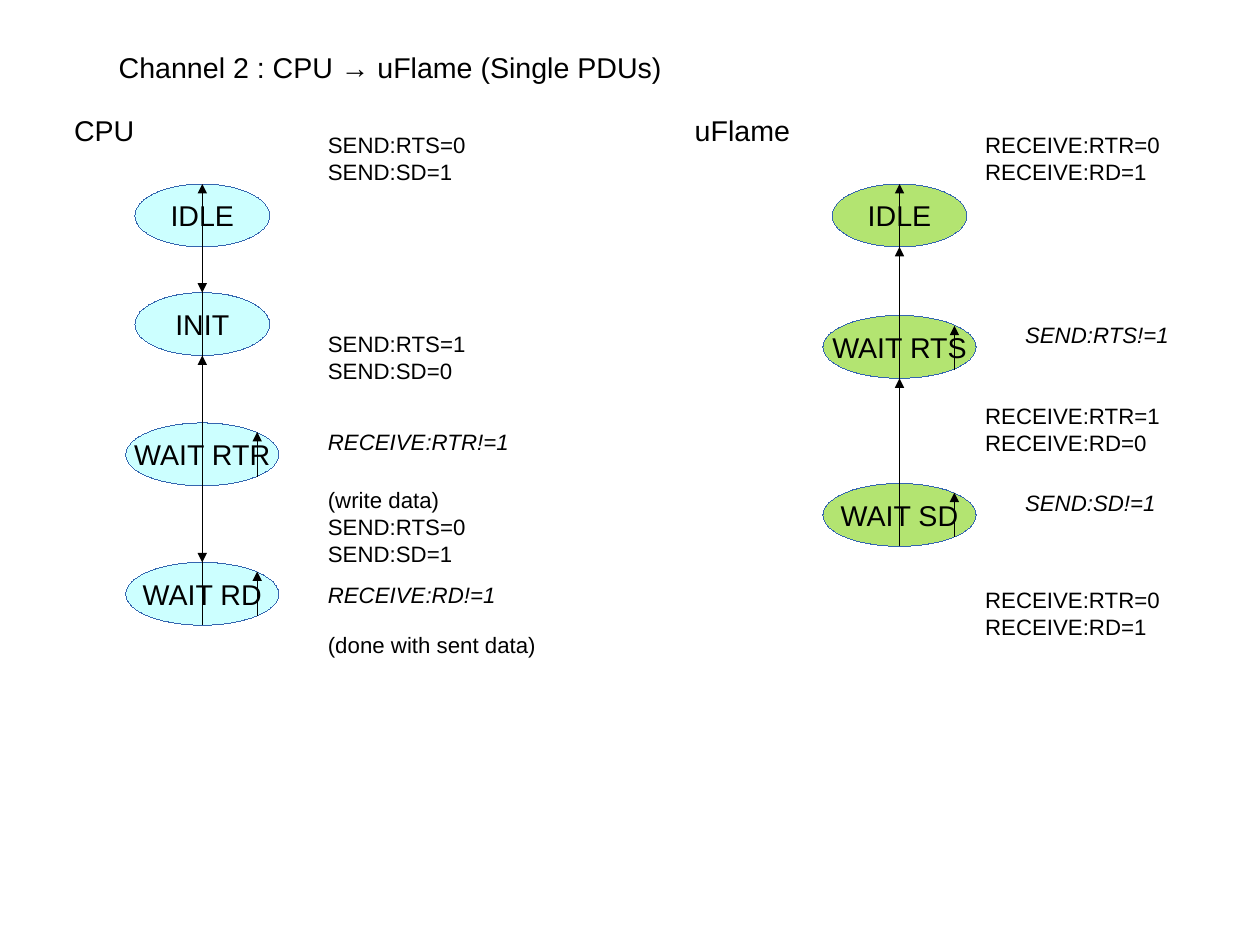
"""Build the slide with the two handshake state machines of channel 2."""
from lxml import etree
from pptx import Presentation
from pptx.dml.color import RGBColor
from pptx.enum.shapes import MSO_CONNECTOR, MSO_SHAPE
from pptx.enum.text import MSO_ANCHOR, MSO_AUTO_SIZE, PP_ALIGN
from pptx.oxml.ns import qn
from pptx.util import Inches, Pt

STRAIGHT = MSO_CONNECTOR.STRAIGHT
OVAL = MSO_SHAPE.OVAL
MIDDLE = MSO_ANCHOR.MIDDLE
CENTER = PP_ALIGN.CENTER
GROW = MSO_AUTO_SIZE.SHAPE_TO_FIT_TEXT
STATE_HEIGHT = 0.55


def rgb(color):
    return RGBColor.from_string(color)


def write(shape, text, size, italic=False, align=None):
    tf = shape.text_frame
    tf.text = text
    tf.word_wrap = False
    for p in tf.paragraphs:
        p.alignment = align
        for r in p.runs:
            r.font.name = "Arial"
            r.font.size = Pt(size)
            r.font.italic = italic
            r.font.color.rgb = rgb("000000")


prs = Presentation()
prs.slide_width = Inches(28 / 2.54)
prs.slide_height = Inches(21 / 2.54)
s = prs.slides.add_slide(prs.slide_layouts[6])

states = [
    ("IDLE", 1.77, 1.61, 1.18, "CCFFFF"),
    ("INIT", 1.77, 2.56, 1.18, "CCFFFF"),
    ("WAIT RTR", 1.77, 3.7, 1.34, "CCFFFF"),
    ("WAIT RD", 1.77, 4.92, 1.34, "CCFFFF"),
    ("IDLE", 7.87, 1.61, 1.18, "B3E471"),
    ("WAIT RTS", 7.87, 2.76, 1.34, "B3E471"),
    ("WAIT SD", 7.87, 4.23, 1.34, "B3E471"),
]
for name, center, top, width, color in states:
    sp = s.shapes.add_shape(OVAL, Inches(center - width / 2), Inches(top),
                            Inches(width), Inches(STATE_HEIGHT))
    sp.shadow.inherit = False
    sp.fill.solid()
    sp.fill.fore_color.rgb = rgb(color)
    sp.line.color.rgb = rgb("3465AF")
    sp.line.width = Pt(0)
    sp._element.remove(sp._element.find(qn("p:style")))
    sp.text_frame.vertical_anchor = MIDDLE
    write(sp, name, 18, align=CENTER)

transitions = [
    (1.77, 2.16, 2.56),
    (1.77, 3.7, 3.11),
    (1.77, 4.25, 4.92),
    (1.77, 5.47, 1.61),
    (2.25, 4.17, 3.78),
    (2.25, 5.39, 5.0),
    (7.87, 2.76, 2.16),
    (7.87, 4.23, 3.31),
    (7.87, 4.78, 1.61),
    (8.35, 3.24, 2.85),
    (8.35, 4.7, 4.31),
]
for x, start, end in transitions:
    arrow = s.shapes.add_connector(STRAIGHT, Inches(x), Inches(start),
                                   Inches(x), Inches(end))
    arrow.line.color.rgb = rgb("000000")
    arrow.line.width = Pt(0)
    arrow._element.remove(arrow._element.find(qn("p:style")))
    etree.SubElement(arrow.line._get_or_add_ln(), qn("a:tailEnd"), type="triangle")
    etree.SubElement(arrow._element.spPr, qn("a:effectLst"))

labels = [
    ("Channel 2 : CPU → uFlame (Single PDUs)", 0.94, 0.39, 8.11, 18, False),
    ("CPU", 0.55, 0.94, 0.8, 18, False),
    ("uFlame", 5.98, 0.94, 1.1, 18, False),
    ("SEND:RTS=0\nSEND:SD=1", 2.77, 1.1, 1.45, 14, False),
    ("SEND:RTS=1\nSEND:SD=0", 2.77, 2.84, 1.45, 14, False),
    ("RECEIVE:RTR!=1", 2.77, 3.7, 1.85, 14, True),
    ("(write data)\nSEND:RTS=0\nSEND:SD=1", 2.77, 4.21, 1.45, 14, False),
    ("RECEIVE:RD!=1", 2.77, 5.04, 1.7, 14, True),
    ("(done with sent data)", 2.77, 5.47, 2.05, 14, False),
    ("RECEIVE:RTR=0\nRECEIVE:RD=1", 8.52, 1.1, 1.75, 14, False),
    ("SEND:RTS!=1", 8.87, 2.76, 1.5, 14, True),
    ("RECEIVE:RTR=1\nRECEIVE:RD=0", 8.52, 3.47, 1.75, 14, False),
    ("SEND:SD!=1", 8.87, 4.23, 1.4, 14, True),
    ("RECEIVE:RTR=0\nRECEIVE:RD=1", 8.52, 5.08, 1.75, 14, False),
]
for text, left, top, width, size, italic in labels:
    lines = text.count("\n") + 1
    height = 0.1 + lines * size * 1.15 / 72
    sp = s.shapes.add_textbox(Inches(left), Inches(top), Inches(width), Inches(height))
    write(sp, text, size, italic)
    sp.text_frame.auto_size = GROW
    sp.text_frame.word_wrap = width > 8

prs.save("out.pptx")
